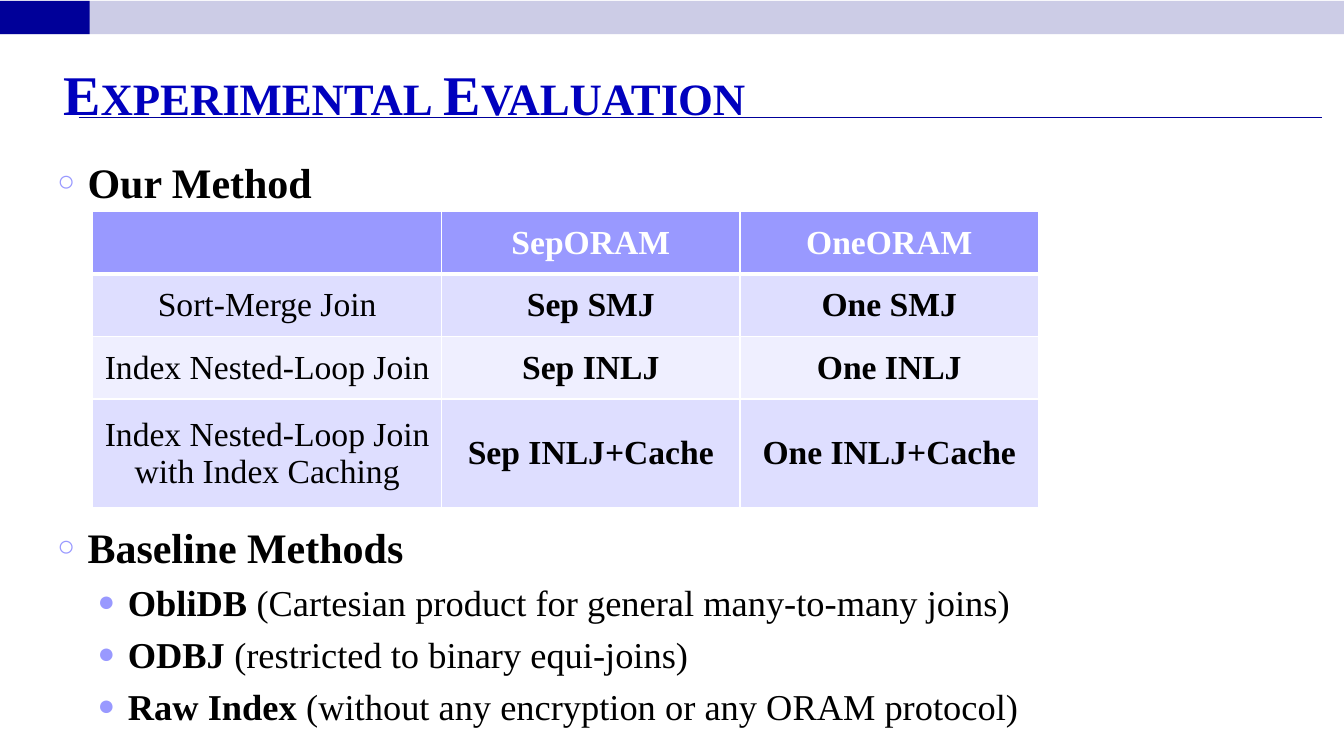
from dataclasses import dataclass

from lxml import etree
from pptx import Presentation
from pptx.dml.color import RGBColor
from pptx.enum.shapes import MSO_CONNECTOR, MSO_SHAPE
from pptx.enum.text import MSO_ANCHOR, PP_ALIGN
from pptx.oxml.ns import qn
from pptx.util import Inches, Pt

CENTER, MIDDLE = PP_ALIGN.CENTER, MSO_ANCHOR.MIDDLE
TOP, BOTTOM = MSO_ANCHOR.TOP, MSO_ANCHOR.BOTTOM
RECTANGLE, STRAIGHT = MSO_SHAPE.RECTANGLE, MSO_CONNECTOR.STRAIGHT

TITLE = "Experimental Evaluation"
METHOD_HEADING = [(0, "Our Method", "")]
BASELINES = [
    (0, "Baseline Methods", ""),
    (1, "ObliDB ", "(Cartesian product for general many-to-many joins)"),
    (1, "ODBJ", " (restricted to binary equi-joins)"),
    (1, "Raw Index ", "(without any encryption or any ORAM protocol)"),
]
METHODS = [
    ("", "SepORAM", "OneORAM"),
    ("Sort-Merge Join", "Sep SMJ", "One SMJ"),
    ("Index Nested-Loop Join", "Sep INLJ", "One INLJ"),
    ("Index Nested-Loop Join with Index Caching", "Sep INLJ+Cache", "One INLJ+Cache"),
]
COLUMN_WIDTHS = (3.46, 2.96, 2.96)
ROW_HEIGHTS = (0.62, 0.62, 0.62, 1.08)
BANDS = [("pale", (0, 0.01, 13.33, 0.33)), ("navy", (0, 0.01, 0.89, 0.33))]
LEVELS = [
    {"size": 30, "indent": 0.3, "bullet": "○", "bullet_size": 70},
    {"size": 26, "indent": 0.7, "bullet": "●", "bullet_size": 80},
]
HANGING = 0.3


@dataclass(frozen=True)
class Theme:
    font: str = "Times New Roman"
    navy: str = "000099"
    pale: str = "CCCCE6"
    title: str = "0000BE"
    accent: str = "9999FF"
    odd_row: str = "DEDEFF"
    even_row: str = "EFEFFF"
    text: str = "000000"
    white: str = "FFFFFF"
    title_size: int = 40
    table_size: int = 24
    space_before: int = 6


THEME = Theme()


def style(span, size, color, bold):
    span.font.name = THEME.font
    span.font.size = Pt(size)
    span.font.bold = bold
    span.font.color.rgb = RGBColor.from_string(color)


def add_text_frame(page, place, anchor):
    frame = page.shapes.add_textbox(*map(Inches, place)).text_frame
    frame.word_wrap = True
    frame.vertical_anchor = anchor
    return frame


def add_bullet(para, level):
    properties = para._p.get_or_add_pPr()
    properties.set("marL", str(Inches(level["indent"])))
    properties.set("indent", str(-Inches(HANGING)))
    color = etree.SubElement(properties, qn("a:buClr"))
    etree.SubElement(color, qn("a:srgbClr"), val=THEME.accent)
    etree.SubElement(properties, qn("a:buSzPct"), val=str(level["bullet_size"] * 1000))
    etree.SubElement(properties, qn("a:buFont"), typeface=THEME.font)
    etree.SubElement(properties, qn("a:buChar"), char=level["bullet"])


def add_list(page, place, items):
    frame = add_text_frame(page, place, TOP)
    for index, (depth, lead, detail) in enumerate(items):
        para = frame.add_paragraph() if index else frame.paragraphs[0]
        level = LEVELS[depth]
        para.level = depth
        para.space_before = Pt(THEME.space_before if index else 0)
        add_bullet(para, level)
        for words, bold in ((lead, True), (detail, False)):
            if words:
                span = para.add_run()
                span.text = words
                style(span, level["size"], THEME.text, bold)


def add_borders(cell, bottom_width):
    properties = cell._tc.get_or_add_tcPr()
    for side, width in (("L", 1), ("R", 1), ("T", 1), ("B", bottom_width)):
        border = etree.SubElement(properties, qn(f"a:ln{side}"), w=str(Pt(width)))
        fill = etree.SubElement(border, qn("a:solidFill"))
        etree.SubElement(fill, qn("a:srgbClr"), val=THEME.white)


def add_method_table(page):
    size = (sum(COLUMN_WIDTHS), sum(ROW_HEIGHTS))
    place = map(Inches, (0.92, 2.1, *size))
    table = page.shapes.add_table(len(METHODS), len(COLUMN_WIDTHS), *place).table
    for column, width in zip(table.columns, COLUMN_WIDTHS):
        column.width = Inches(width)
    for row, height in zip(table.rows, ROW_HEIGHTS):
        row.height = Inches(height)
    for r, labels in enumerate(METHODS):
        header = r == 0
        shade = THEME.accent if header else (THEME.even_row, THEME.odd_row)[r % 2]
        for c, label in enumerate(labels):
            cell = table.cell(r, c)
            add_borders(cell, 3 if header else 1)
            cell.fill.solid()
            cell.fill.fore_color.rgb = RGBColor.from_string(shade)
            cell.vertical_anchor = MIDDLE
            cell.text_frame.text = label
            para = cell.text_frame.paragraphs[0]
            para.alignment = CENTER
            for span in para.runs:
                color = THEME.white if header else THEME.text
                style(span, THEME.table_size, color, header or c > 0)


def add_frame(page):
    for color, place in BANDS:
        band = page.shapes.add_shape(RECTANGLE, *map(Inches, place))
        band.shadow.inherit = False
        band.fill.solid()
        band.fill.fore_color.rgb = RGBColor.from_string(getattr(THEME, color))
        band.line.fill.background()
    ends = map(Inches, (0.78, 1.17, 13.11, 1.17))
    rule = page.shapes.add_connector(STRAIGHT, *ends)
    rule.line.color.rgb = RGBColor.from_string(THEME.navy)
    rule.line.width = Pt(0.75)
    etree.SubElement(rule._element.spPr, qn("a:effectLst"))


def add_title(page):
    frame = add_text_frame(page, (0.53, 0.52, 12.25, 0.74), BOTTOM)
    frame.margin_top = frame.margin_bottom = 0
    frame.text = TITLE
    span = frame.paragraphs[0].runs[0]
    style(span, THEME.title_size, THEME.title, True)
    span._r.get_or_add_rPr().set("cap", "small")


def main():
    deck = Presentation()
    deck.slide_width, deck.slide_height = Inches(13.33), Inches(7.5)
    page = deck.slides.add_slide(deck.slide_layouts[6])
    add_frame(page)
    add_list(page, (0.47, 1.5, 11.69, 0.58), METHOD_HEADING)
    add_list(page, (0.47, 5.12, 11.69, 2.1), BASELINES)
    add_title(page)
    add_method_table(page)
    deck.save("out.pptx")


if __name__ == "__main__":
    main()
